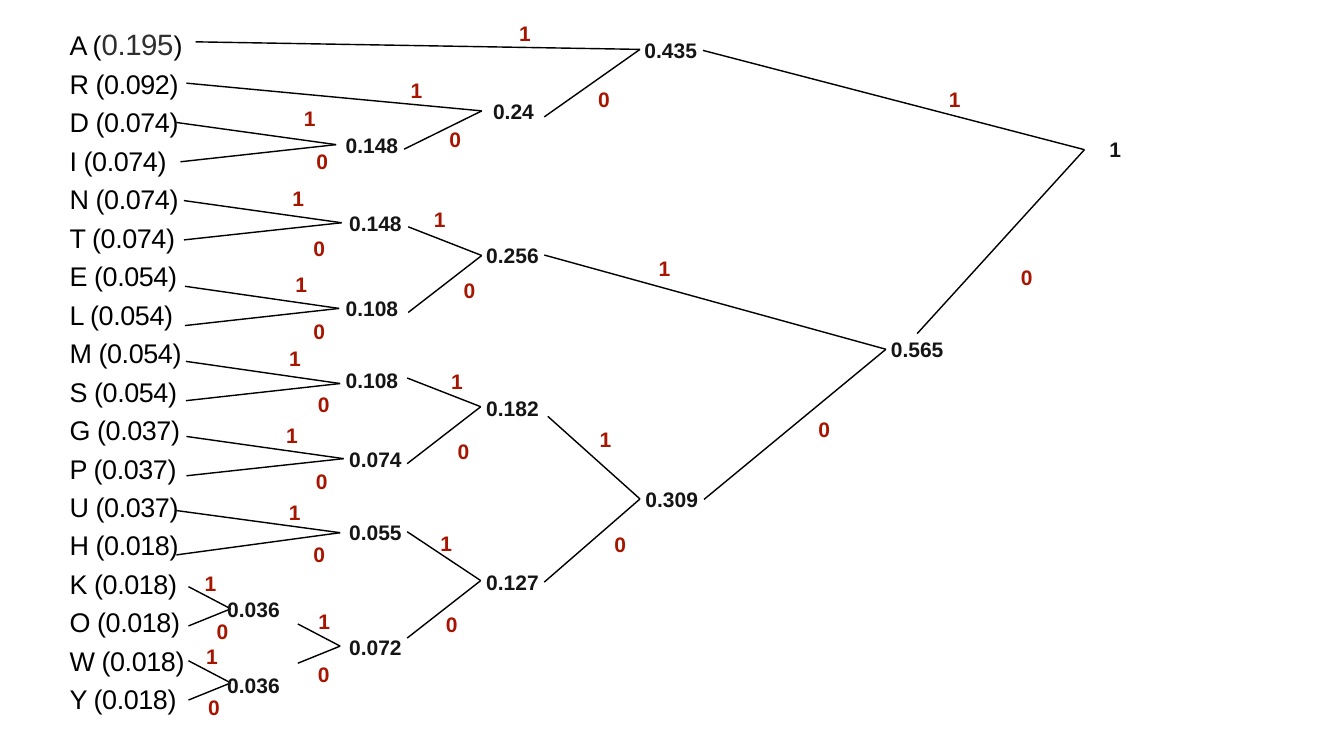
from pptx import Presentation
from pptx import util as u
from pptx.dml.color import RGBColor
from pptx.enum import shapes, text
from pptx.oxml.ns import qn
from lxml import etree

PX = 9144  # EMU per px, 100 px to the inch
WIDTH, HEIGHT = 2667, 1500
FONT = "Arial"
BLACK = RGBColor(0x00, 0x00, 0x00)
GREY = RGBColor(0x2F, 0x2F, 0x2F)
INK = RGBColor(0x15, 0x15, 0x15)
RED = RGBColor(0xA6, 0x15, 0x00)
INSET = 6
SUM_SIZE, BIT_SIZE = (126, 62), (35, 62)

SYMBOLS = [
    ("A", "0.195"), ("R", "0.092"), ("D", "0.074"), ("I", "0.074"),
    ("N", "0.074"), ("T", "0.074"), ("E", "0.054"), ("L", "0.054"),
    ("M", "0.054"), ("S", "0.054"), ("G", "0.037"), ("P", "0.037"),
    ("U", "0.037"), ("H", "0.018"), ("K", "0.018"), ("O", "0.018"),
    ("W", "0.018"), ("Y", "0.018"),
]

# sum, its box corner, joint, start of branch 1, start of branch 0,
# box corner of bit 1, box corner of bit 0
MERGES = [
    ("0.036", (440, 1177), (458, 1208), (374, 1164), (374, 1242), (400, 1125), (424, 1221)),
    ("0.036", (440, 1328), (458, 1355), (374, 1311), (374, 1389), (403, 1271), (407, 1372)),
    ("0.055", (682, 1024), (675, 1057), (350, 1013), (350, 1101), (567, 986), (616, 1068)),
    ("0.074", (682, 879), (682, 910), (370, 866), (370, 944), (562, 832), (621, 924)),
    ("0.108", (675, 723), (675, 761), (369, 717), (369, 795), (568, 679), (625, 771)),
    ("0.108", (675, 581), (673, 612), (367, 568), (367, 646), (580, 532), (616, 626)),
    ("0.148", (682, 411), (678, 442), (365, 398), (365, 476), (574, 363), (616, 462)),
    ("0.148", (675, 256), (667, 287), (350, 243), (358, 321), (597, 203), (622, 289)),
    ("0.072", (682, 1253), (675, 1282), (591, 1238), (591, 1316), (626, 1202), (625, 1307)),
    ("0.127", (954, 1124), (954, 1152), (808, 1055), (808, 1266), (868, 1046), (879, 1207)),
    ("0.182", (954, 778), (954, 807), (808, 750), (808, 920), (889, 726), (902, 864)),
    ("0.256", (954, 475), (956, 507), (810, 450), (810, 620), (855, 404), (914, 545)),
    ("0.24", (956, 189), (956, 220), (370, 165), (802, 296), (809, 147), (886, 244)),
    ("0.309", (1270, 960), (1270, 990), (1087, 826), (1080, 1155), (1184, 841), (1213, 1048)),
    ("0.435", (1268, 69), (1270, 98), (388, 83), (1080, 232), (1024, 34), (1181, 166)),
    ("0.565", (1757, 662), (1758, 693), (1080, 506), (1397, 991), (1301, 501), (1618, 821)),
    ("1", (2150, 265), (2152, 297), (1395, 100), (1820, 662), (1877, 165), (2020, 519)),
]


def px(*lengths):
    return [u.Emu(length * PX) for length in lengths]


def add_box(slide, corner, size, wrap=True):
    frame = slide.shapes.add_textbox(*px(*corner, *size)).text_frame
    frame.word_wrap = wrap
    frame.margin_left = frame.margin_right = px(INSET)[0]
    frame.margin_top = frame.margin_bottom = px(INSET)[0]
    return frame


def add_run(paragraph, words, size, color, bold=False):
    run = paragraph.add_run()
    run.text = words
    run.font.name = FONT
    run.font.size = u.Pt(size)
    run.font.bold = bold
    run.font.color.rgb = color
    return run


def add_label(slide, words, corner, size, color, wrap=True):
    frame = add_box(slide, corner, size, wrap)
    frame.vertical_anchor = text.MSO_ANCHOR.MIDDLE
    frame.auto_size = text.MSO_AUTO_SIZE.SHAPE_TO_FIT_TEXT
    paragraph = frame.paragraphs[0]
    paragraph.alignment = text.PP_ALIGN.CENTER
    add_run(paragraph, words, 30, color, bold=True)


def add_branch(slide, start, joint):
    line = slide.shapes.add_connector(shapes.MSO_CONNECTOR.STRAIGHT, *px(*start, *joint))
    line.line.color.rgb = BLACK
    line.line.width = u.Pt(2)
    etree.SubElement(line._element.spPr, qn("a:effectLst"))


def add_symbols(slide):
    frame = add_box(slide, (132, 59), (256, 1382))
    for row, (symbol, probability) in enumerate(SYMBOLS):
        paragraph = frame.add_paragraph() if row else frame.paragraphs[0]
        paragraph.line_spacing = 0.8
        paragraph.space_before = u.Pt(18)
        if row:
            parts = [(f"{symbol} ({probability})", 38.5, BLACK)]
        else:  # the first probability stands out
            parts = [(f"{symbol} (", 38.5, BLACK), (probability, 42, GREY), (")", 38.5, BLACK)]
        for part in parts:
            add_run(paragraph, *part).font._element.set("spc", "-60")


def main():
    presentation = Presentation()
    presentation.slide_width, presentation.slide_height = px(WIDTH, HEIGHT)
    slide = presentation.slides.add_slide(presentation.slide_layouts[6])

    # Symbols with their probabilities
    add_symbols(slide)

    # Huffman tree: branches, sums and code bits
    for total, corner, joint, upper, lower, one, zero in MERGES:
        for start in (upper, lower):
            add_branch(slide, start, joint)
        add_label(slide, total, corner, SUM_SIZE, INK)
        for bit, place in (("1", one), ("0", zero)):
            add_label(slide, bit, place, BIT_SIZE, RED, wrap=False)

    presentation.save("out.pptx")


if __name__ == "__main__":
    main()
